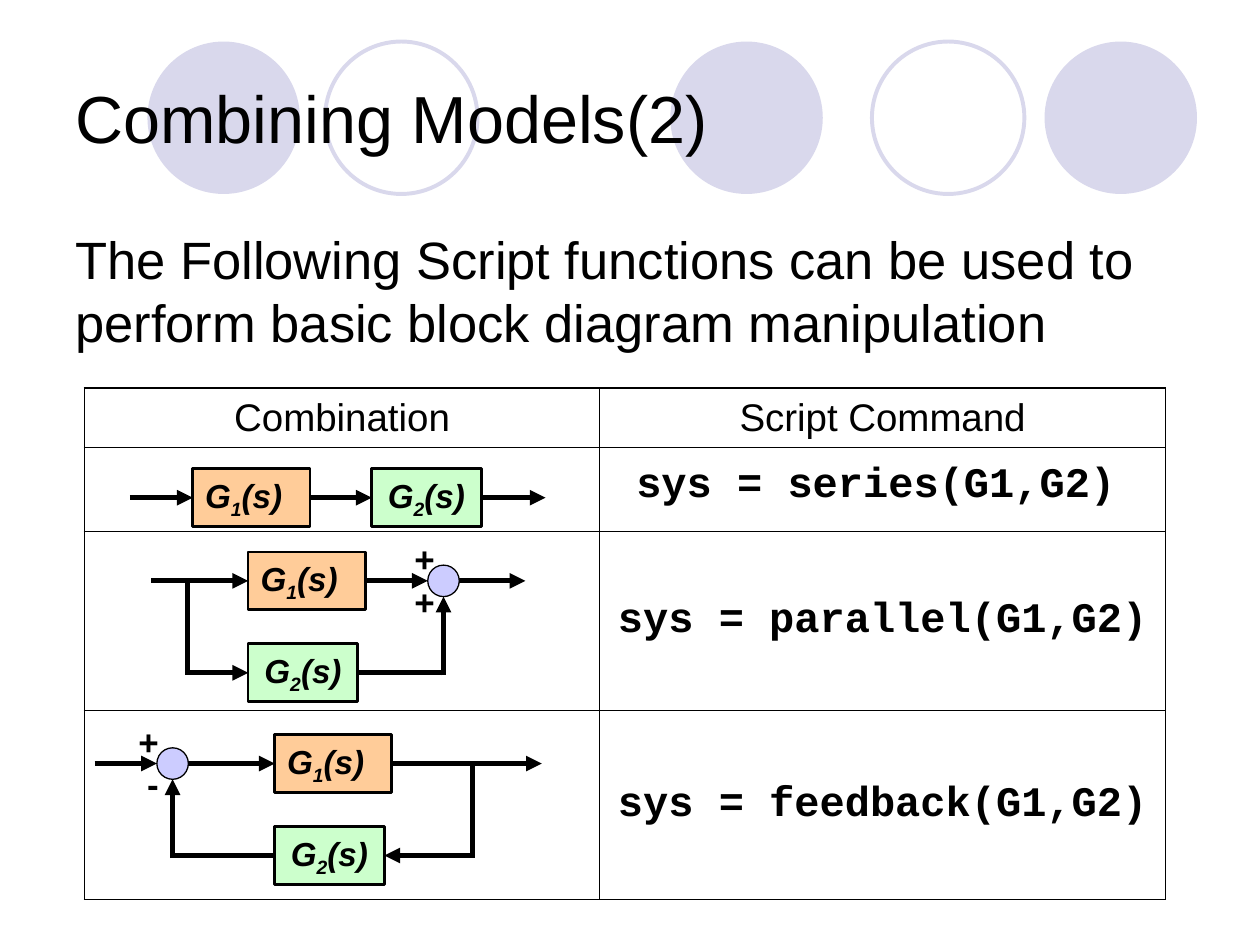
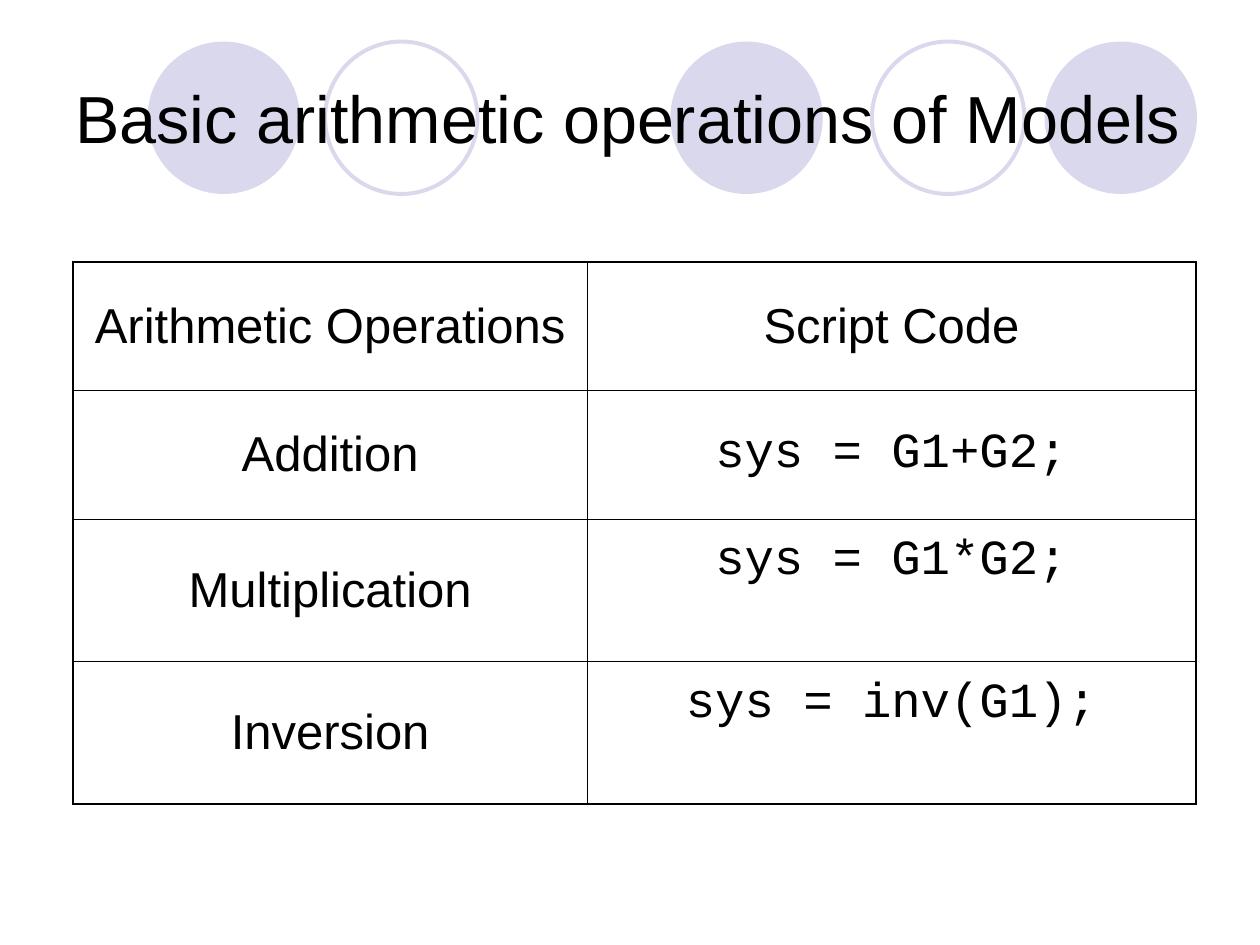
"""Build two slides on combining system models."""
from typing import NamedTuple, Optional

from lxml.etree import SubElement
from pptx import Presentation
from pptx.dml.color import RGBColor
from pptx.enum.shapes import MSO_CONNECTOR, MSO_SHAPE
from pptx.enum.text import MSO_ANCHOR, PP_ALIGN
from pptx.oxml.ns import qn
from pptx.shapes.autoshape import Shape
from pptx.slide import Slide
from pptx.table import _Cell
from pptx.text.text import _Paragraph
from pptx.util import Inches, Length, Pt

BLACK = RGBColor(0, 0, 0)
LILAC = RGBColor(0xD9, 0xD8, 0xEC)
ORANGE = RGBColor(0xFF, 0xCC, 0x99)
GREEN = RGBColor(0xCC, 0xFF, 0xCC)
BLUE = RGBColor(0xCC, 0xCC, 0xFF)
SANS = "Arial"
MONO = "Courier New"
TOP, LEFT, BOTTOM, RIGHT = range(4)
DISC = 0.25


class Ring(NamedTuple):
    """A title band circle."""
    left: float
    solid: bool


class Block(NamedTuple):
    """A kind of transfer function block."""
    index: str
    width: float
    color: RGBColor
    align: PP_ALIGN


class Port(NamedTuple):
    """An end of a wire, free or on a block side."""
    x: Length
    y: Length
    shape: Optional[Shape] = None
    site: int = 0


class Entry(NamedTuple):
    """The text of a table cell."""
    text: str
    size: int
    font: str = SANS
    bold: bool = False
    lift: float = 0
    pull: float = 0


RINGS = [Ring(1.17, True), Ring(2.58, False), Ring(5.32, True),
         Ring(6.92, False), Ring(8.29, True)]
G1 = Block("1", 0.93, ORANGE, PP_ALIGN.LEFT)
G2 = Block("2", 0.87, GREEN, PP_ALIGN.CENTER)


def style(para: _Paragraph, size: float, font: str = SANS, bold: bool = False,
          slant: bool = False) -> None:
    """Set the font of a paragraph."""
    para.font.size = Pt(size)
    para.font.name = font
    para.font.bold = bold
    para.font.italic = slant
    para.font.color.rgb = BLACK


def shape(slide: Slide, kind: MSO_SHAPE, left: float, top: float, width: float,
          height: float, fill: Optional[RGBColor], line: Optional[RGBColor],
          weight: float = 1) -> Shape:
    """Add a preset shape with plain fill and line."""
    item = slide.shapes.add_shape(kind, Inches(left), Inches(top),
                                  Inches(width), Inches(height))
    item.shadow.inherit = False
    if fill is None:
        item.fill.background()
    else:
        item.fill.solid()
        item.fill.fore_color.rgb = fill
    if line is None:
        item.line.fill.background()
    else:
        item.line.color.rgb = line
        item.line.width = Pt(weight)
    return item


def label(slide: Slide, text: str, left: float, top: float, width: float,
          height: float, size: float, bold: bool = False, wrap: bool = True,
          anchor: MSO_ANCHOR = MSO_ANCHOR.TOP) -> None:
    """Add a text box of one paragraph."""
    frame = slide.shapes.add_textbox(Inches(left), Inches(top), Inches(width),
                                     Inches(height)).text_frame
    frame.word_wrap = wrap
    frame.vertical_anchor = anchor
    frame.text = text
    style(frame.paragraphs[0], size, bold=bold)


def start(deck: Presentation, title: str) -> Slide:
    """Add a slide with the title over the circle band."""
    slide = deck.slides.add_slide(deck.slide_layouts[6])
    for ring in RINGS:
        shape(slide, MSO_SHAPE.OVAL, ring.left, 0.33, 1.21, 1.21,
              LILAC if ring.solid else None, None if ring.solid else LILAC, 2.25)
    label(slide, title, 0.5, 0.3, 9, 1.25, 38, anchor=MSO_ANCHOR.MIDDLE)
    return slide


def border(cell: _Cell, row: int, col: int, rows: int, cols: int) -> None:
    """Draw cell borders, heavier on the table edge."""
    props = cell._tc.get_or_add_tcPr()
    edges = {"L": col == 0, "R": col == cols - 1, "T": row == 0, "B": row == rows - 1}
    for side, outer in edges.items():
        line = SubElement(props, qn(f"a:ln{side}"), w=str(Pt(1.08 if outer else 0.45)))
        SubElement(SubElement(line, qn("a:solidFill")), qn("a:srgbClr"), val=str(BLACK))


def grid(slide: Slide, left: float, top: float, widths: list[float],
         heights: list[float], rows: list[list[Optional[Entry]]]) -> None:
    """Add a ruled table without fill."""
    table = slide.shapes.add_table(
        len(heights), len(widths), Inches(left), Inches(top),
        Inches(sum(widths)), Inches(sum(heights))).table
    table.first_row = table.horz_banding = False
    for col, width in zip(table.columns, widths):
        col.width = Inches(width)
    for row, height in zip(table.rows, heights):
        row.height = Inches(height)
    for r, line in enumerate(rows):
        for c, entry in enumerate(line):
            cell = table.cell(r, c)
            border(cell, r, c, len(heights), len(widths))
            cell.fill.background()
            if entry is None:
                continue
            cell.vertical_anchor = MSO_ANCHOR.MIDDLE
            cell.margin_bottom = Inches(0.05 + entry.lift)
            cell.margin_right = Inches(0.1 + entry.pull)
            cell.text = entry.text
            para = cell.text_frame.paragraphs[0]
            para.alignment = PP_ALIGN.CENTER
            style(para, entry.size, entry.font, entry.bold)


def block(slide: Slide, kind: Block, left: float, mid: float) -> Shape:
    """Add a transfer function block centred on a height."""
    item = shape(slide, MSO_SHAPE.RECTANGLE, left, mid - 0.23, kind.width, 0.46,
                 kind.color, BLACK, 1.5)
    frame = item.text_frame
    frame.word_wrap = True
    para = frame.paragraphs[0]
    para.alignment = kind.align
    for text in ("G", kind.index, "(s)"):
        run = para.add_run()
        run.text = text
        if text == kind.index:
            run._r.get_or_add_rPr().set("baseline", "-25000")
    style(para, 19, bold=True, slant=True)
    return item


def adder(slide: Slide, x: float, y: float) -> None:
    """Add a summing point centred on a spot."""
    shape(slide, MSO_SHAPE.OVAL, x - DISC / 2, y - DISC / 2, DISC, DISC,
          BLUE, BLACK, 0.75)


def sign(slide: Slide, text: str, left: float, top: float) -> None:
    """Add the sign of a summing point."""
    label(slide, text, left, top, 0.36, 0.44, 20, bold=True, wrap=False)


def spot(x: float, y: float) -> Port:
    """Return a free wire end."""
    return Port(Inches(x), Inches(y))


def port(item: Shape, site: int) -> Port:
    """Return a wire end at the middle of a block side."""
    across = {LEFT: 0, RIGHT: item.width}.get(site, item.width // 2)
    down = {TOP: 0, BOTTOM: item.height}.get(site, item.height // 2)
    return Port(item.left + across, item.top + down, item, site)


def wire(slide: Slide, a: Port, b: Port, tip: bool = True) -> None:
    """Add a signal line from a to b."""
    line = slide.shapes.add_connector(MSO_CONNECTOR.STRAIGHT, a.x, a.y, b.x, b.y)
    if a.shape is not None:
        line.begin_connect(a.shape, a.site)
    if b.shape is not None:
        line.end_connect(b.shape, b.site)
    line.line.color.rgb = BLACK
    line.line.width = Pt(3)
    if tip:
        SubElement(line.line._get_or_add_ln(), qn("a:tailEnd"), type="triangle")
    SubElement(line._element.spPr, qn("a:effectLst"))


def series(slide: Slide) -> None:
    """Draw the series connection."""
    mid = 3.95
    one, two = block(slide, G1, 1.53, mid), block(slide, G2, 2.95, mid)
    wire(slide, spot(1.03, mid), port(one, LEFT))
    wire(slide, port(one, RIGHT), port(two, LEFT))
    wire(slide, port(two, RIGHT), spot(4.33, mid))


def parallel(slide: Slide) -> None:
    """Draw the parallel connection."""
    mid, low, fork, join = 4.61, 5.34, 1.49, 3.52
    one, two = block(slide, G1, 1.97, mid), block(slide, G2, 1.97, low)
    wire(slide, spot(1.2, mid), port(one, LEFT))
    wire(slide, spot(fork, mid), spot(fork, low + 0.02), False)
    wire(slide, spot(fork, low), port(two, LEFT))
    wire(slide, port(one, RIGHT), spot(join - DISC / 2, mid))
    wire(slide, port(two, RIGHT), spot(join, low), False)
    wire(slide, spot(join, low + 0.02), spot(join, mid + DISC / 2))
    wire(slide, spot(join + DISC / 2, mid), spot(4.17, mid))
    adder(slide, join, mid)
    sign(slide, "+", 3.19, 4.22)
    sign(slide, "+", 3.19, 4.56)


def feedback(slide: Slide) -> None:
    """Draw the feedback connection."""
    mid, low, join, fork = 6.06, 6.79, 1.37, 3.75
    one, two = block(slide, G1, 2.18, mid), block(slide, G2, 2.18, low)
    wire(slide, spot(0.75, mid), spot(join - DISC / 2, mid))
    wire(slide, spot(join + DISC / 2, mid), port(one, LEFT))
    wire(slide, port(one, RIGHT), spot(4.3, mid))
    wire(slide, spot(fork, mid), spot(fork, low + 0.02), False)
    wire(slide, spot(fork, low), port(two, RIGHT))
    wire(slide, port(two, LEFT), spot(join, low), False)
    wire(slide, spot(join, low + 0.02), spot(join, mid + DISC / 2))
    adder(slide, join, mid)
    sign(slide, "+", 1, 5.67)
    sign(slide, "-", 1.07, 6)


def models(deck: Presentation) -> None:
    """Build the slide of block diagrams."""
    slide = start(deck, "Combining Models(2)")
    label(slide, "The Following Script functions can be used to perform basic "
          "block diagram manipulation", 0.5, 1.75, 9, 1.17, 30)
    grid(slide, 0.67, 3.08, [4.09, 4.49], [0.47, 0.67, 1.42, 1.5], [
        [Entry("Combination", 22), Entry("Script Command", 22)],
        [None, Entry("sys = series(G1,G2)", 24, MONO, True, 0.05, 0.11)],
        [None, Entry("sys = parallel(G1,G2)", 24, MONO, True)],
        [None, Entry("sys = feedback(G1,G2)", 24, MONO, True)]])
    series(slide)
    parallel(slide)
    feedback(slide)


def sums(deck: Presentation) -> None:
    """Build the slide of arithmetic operations."""
    slide = start(deck, "Basic arithmetic operations of Models")
    grid(slide, 0.58, 2.08, [4.08, 4.83], [1.02, 1.02, 1.13, 1.13], [
        [Entry("Arithmetic Operations", 28), Entry("Script Code", 28)],
        [Entry("Addition", 28), Entry("sys = G1+G2;", 28, MONO)],
        [Entry("Multiplication", 28), Entry("sys = G1*G2;", 28, MONO, lift=0.45)],
        [Entry("Inversion", 28), Entry("sys = inv(G1);", 28, MONO, lift=0.45)]])


def main() -> None:
    """Build and save the deck."""
    deck = Presentation()
    deck.slide_width, deck.slide_height = Inches(10), Inches(7.5)
    models(deck)
    sums(deck)
    deck.save("out.pptx")


if __name__ == "__main__":
    main()
